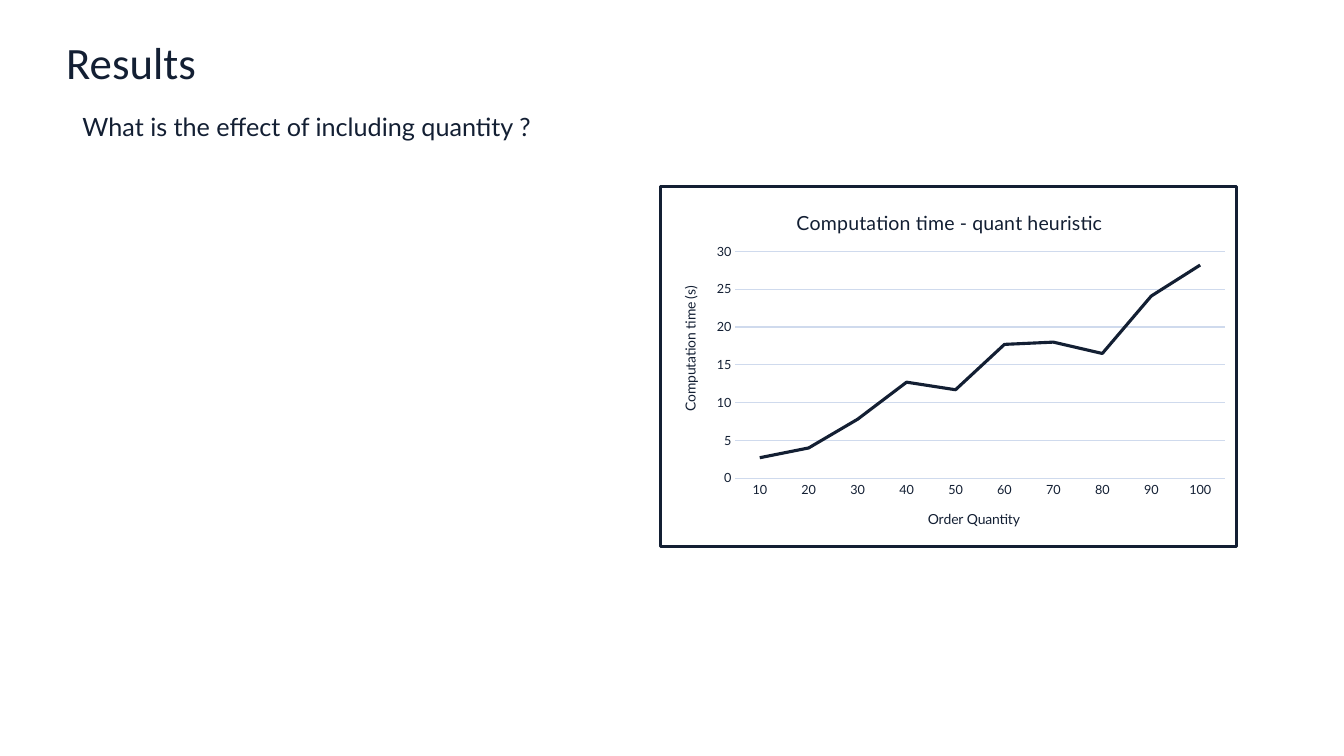
import pptx
import pptx.chart.data
import pptx.dml.color
import pptx.enum.chart
import pptx.enum.text
import pptx.oxml
import pptx.oxml.ns
import pptx.util

Cm = pptx.util.Cm
Pt = pptx.util.Pt
NAVY = pptx.dml.color.RGBColor(0x13, 0x1F, 0x33)
PALE_BLUE = pptx.dml.color.RGBColor(0xCF, 0xDA, 0xED)
WHITE = pptx.dml.color.RGBColor(0xFF, 0xFF, 0xFF)
BODY_FONT = "Lato"
TITLE_FONT = "Calibri"

QUANTITIES = [str(quantity) for quantity in range(10, 101, 10)]
SECONDS = [2.7, 4, 7.8, 12.7, 11.7, 17.7, 18, 16.5, 24.1, 28.2]


def style_font(font, size, name=BODY_FONT):
    font.size = Pt(size)
    font.name = name
    font.bold = False
    font.color.rgb = NAVY


def write_text(text_frame, text, size=10, name=BODY_FONT):
    paragraph = text_frame.paragraphs[0]
    run = paragraph.add_run()
    run.text = text
    style_font(run.font, size, name)


def place_chart_part(element, **fractions):
    """Fix a title or plot area at fractions (x, y, w, h) of the chart."""
    tag = pptx.oxml.ns.qn
    for automatic in element.findall(tag("c:layout")):
        element.remove(automatic)
    target = '<c:layoutTarget val="inner"/>' if "w" in fractions else ""
    modes = '<c:xMode val="edge"/><c:yMode val="edge"/>'
    values = "".join(f'<c:{key} val="{value}"/>' for key, value in fractions.items())
    layout = pptx.oxml.parse_xml(
        f'<c:layout {pptx.oxml.ns.nsdecls("c")}><c:manualLayout>'
        f"{target}{modes}{values}</c:manualLayout></c:layout>"
    )
    position = 0 if element.find(tag("c:tx")) is None else 1
    element.insert(position, layout)


def frame_chart(chart, width):
    """Give the chart area a white fill and a navy border."""
    properties = pptx.oxml.parse_xml(
        f'<c:spPr {pptx.oxml.ns.nsdecls("c", "a")}>'
        f'<a:solidFill><a:srgbClr val="{WHITE}"/></a:solidFill>'
        f'<a:ln w="{Pt(width)}"><a:solidFill><a:srgbClr val="{NAVY}"/>'
        "</a:solidFill></a:ln></c:spPr>"
    )
    chart._chartSpace.find(pptx.oxml.ns.qn("c:chart")).addnext(properties)


class ResultsSlide:
    def __init__(self, presentation):
        self.slide = presentation.slides.add_slide(presentation.slide_layouts[6])
        background = self.slide.background.fill
        background.solid()
        background.fore_color.rgb = WHITE

    def text(self, text, left, top, width, height, **text_format):
        box = self.slide.shapes.add_textbox(Cm(left), Cm(top), Cm(width), Cm(height))
        box.text_frame.word_wrap = True
        box.text_frame.vertical_anchor = pptx.enum.text.MSO_ANCHOR.TOP
        write_text(box.text_frame, text, **text_format)

    def axis(self, axis, title, x, y):
        write_text(axis.axis_title.text_frame, title)
        place_chart_part(axis.axis_title._element, x=x, y=y)
        axis.major_tick_mark = pptx.enum.chart.XL_TICK_MARK.NONE
        axis.minor_tick_mark = pptx.enum.chart.XL_TICK_MARK.NONE
        style_font(axis.tick_labels.font, 9)

    def line_chart(self, left, top, width, height):
        data = pptx.chart.data.CategoryChartData()
        data.categories = QUANTITIES
        data.add_series("Series 1", SECONDS)
        chart = self.slide.shapes.add_chart(
            pptx.enum.chart.XL_CHART_TYPE.LINE,
            Cm(left), Cm(top), Cm(width), Cm(height), data,
        ).chart
        style_font(chart.font, 10)
        frame_chart(chart, 2)
        chart.has_legend = False
        write_text(chart.chart_title.text_frame, "Computation time - quant heuristic", size=14)
        place_chart_part(chart.chart_title._element, x=0.23, y=0.05)

        self.axis(chart.category_axis, "Order Quantity", x=0.46, y=0.89)
        self.axis(chart.value_axis, "Computation time (s)", x=0.03, y=0.27)
        chart.value_axis.minimum_scale = 0
        chart.value_axis.maximum_scale = 30
        chart.value_axis.major_unit = 5
        chart.value_axis.format.line.fill.background()
        chart.value_axis.has_major_gridlines = True
        for pale_line in (chart.category_axis.format.line,
                          chart.value_axis.major_gridlines.format.line):
            pale_line.color.rgb = PALE_BLUE
            pale_line.width = Pt(0.75)

        plot = chart.plots[0]
        plot.vary_by_categories = False
        place_chart_part(plot._element.getparent(), x=0.13, y=0.18, w=0.85, h=0.63)
        series = plot.series[0]
        series.smooth = False
        series.marker.style = pptx.enum.chart.XL_MARKER_STYLE.NONE
        series.format.line.color.rgb = NAVY
        series.format.line.width = Pt(2.25)


def main():
    presentation = pptx.Presentation()
    presentation.slide_width = Cm(33.87)
    presentation.slide_height = Cm(19.05)
    results = ResultsSlide(presentation)
    results.text("Results", 1.42, 0.76, 30.76, 2.34, size=32, name=TITLE_FONT)
    results.text("What is the effect of including quantity ?", 1.83, 2.69, 28.4, 1.02, size=18)
    results.line_chart(16.61, 4.67, 14.58, 9.14)
    presentation.save("out.pptx")


if __name__ == "__main__":
    main()
